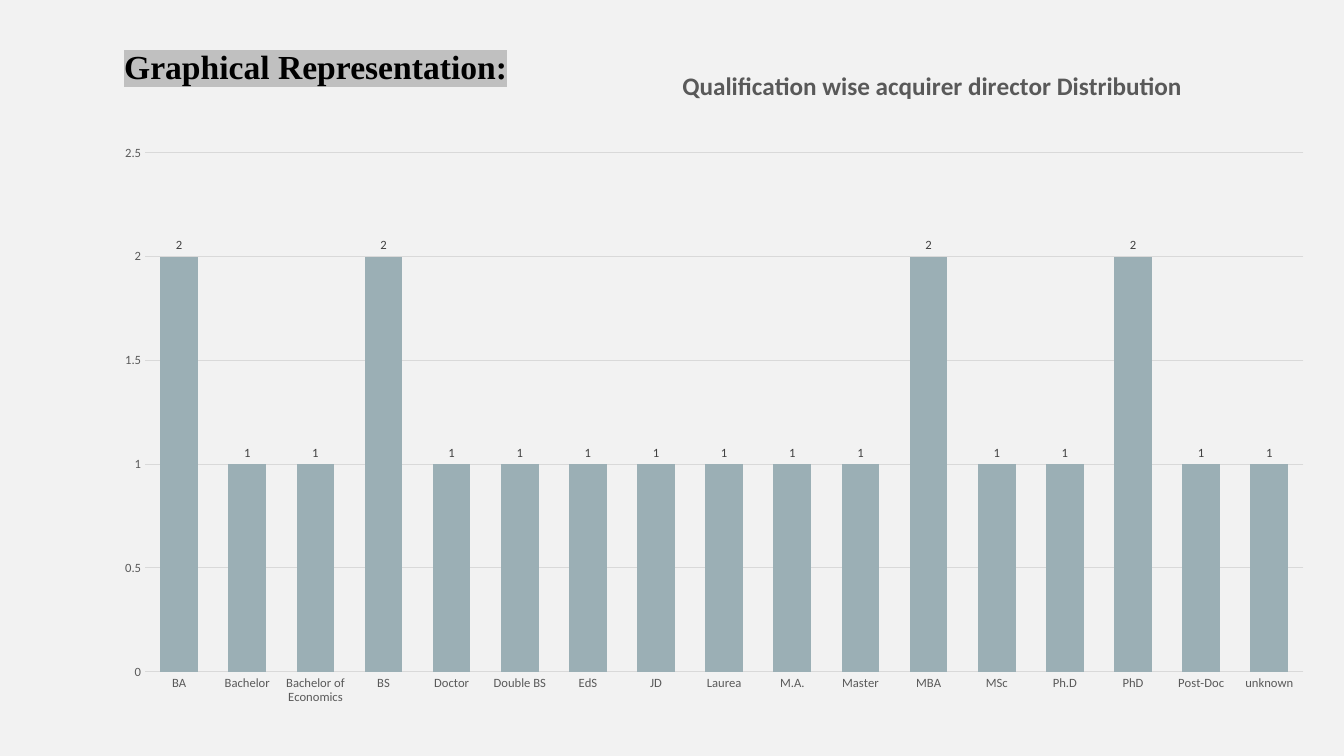
from lxml import etree
from pptx import Presentation
from pptx.chart.data import CategoryChartData
from pptx.dml.color import RGBColor
from pptx.enum.chart import XL_CHART_TYPE, XL_LABEL_POSITION, XL_TICK_MARK
from pptx.enum.text import MSO_ANCHOR, PP_ALIGN
from pptx.oxml.ns import qn
from pptx.util import Emu, Inches, Pt

COLUMNS = XL_CHART_TYPE.COLUMN_CLUSTERED
OUTSIDE_END = XL_LABEL_POSITION.OUTSIDE_END
NO_TICK = XL_TICK_MARK.NONE
TOP = MSO_ANCHOR.TOP
LEFT = PP_ALIGN.LEFT

BACKGROUND = RGBColor(0xF2, 0xF2, 0xF2)
BLACK = RGBColor(0x00, 0x00, 0x00)
HIGHLIGHT = RGBColor(0xC0, 0xC0, 0xC0)
BAR = RGBColor(0x9B, 0xAF, 0xB5)
GRID = RGBColor(0xD9, 0xD9, 0xD9)
AXIS_TEXT = RGBColor(0x59, 0x59, 0x59)
LABEL_TEXT = RGBColor(0x40, 0x40, 0x40)

HEADING_FONT = "Times New Roman"
CHART_FONT = "Calibri"
EMU_PER_PIXEL = 914400 / 100.8
TITLE_ONLY = 5

QUALIFICATIONS = {
    "BA": 2, "Bachelor": 1, "Bachelor of Economics": 1, "BS": 2, "Doctor": 1,
    "Double BS": 1, "EdS": 1, "JD": 1, "Laurea": 1, "M.A.": 1, "Master": 1,
    "MBA": 2, "MSc": 1, "Ph.D": 1, "PhD": 2, "Post-Doc": 1, "unknown": 1,
}


def px(pixels):
    """Turn whole pixels into EMU."""
    return Emu(round(pixels * EMU_PER_PIXEL))


def style_font(font, name, size, color, bold=False):
    """Set the face, size, colour and weight of a font."""
    font.name = name
    font.size = Pt(size)
    font.bold = bold
    font.color.rgb = color


def style_line(line, color):
    """Give a line its colour and a hairline width."""
    line.color.rgb = color
    line.width = Pt(0.75)


def highlight(run, color):
    """Put a highlight colour behind a run that has a solid fill."""
    marker = etree.Element(qn("a:highlight"))
    etree.SubElement(marker, qn("a:srgbClr"), val=str(color))
    run.font.fill
    run._r.rPr.find(qn("a:solidFill")).addnext(marker)


def place_in_chart(parent, position, **fractions):
    """Fix a chart part at fractions of the chart area."""
    layout = parent.find(qn("c:layout"))
    if layout is None:
        layout = etree.Element(qn("c:layout"))
        parent.insert(position, layout)
    manual = etree.SubElement(layout, qn("c:manualLayout"))
    if "w" in fractions:
        etree.SubElement(manual, qn("c:layoutTarget"), val="inner")
    for side in ("x", "y"):
        etree.SubElement(manual, qn(f"c:{side}Mode"), val="edge")
    for key, fraction in fractions.items():
        etree.SubElement(manual, qn(f"c:{key}"), val=str(fraction))


def add_heading(slide, text):
    """Fill the title placeholder and bring it in front of the chart."""
    heading = slide.shapes.title
    heading.left, heading.top, heading.width, heading.height = map(px, (114, 37, 1116, 92))
    frame = heading.text_frame
    frame.text = text
    frame.word_wrap = True
    frame.vertical_anchor = TOP
    frame.margin_top = px(9)
    paragraph = frame.paragraphs[0]
    paragraph.alignment = LEFT
    run = paragraph.runs[0]
    style_font(run.font, HEADING_FONT, 24, BLACK, bold=True)
    highlight(run, HIGHLIGHT)
    heading.element.getparent().append(heading.element)


def style_axes(chart):
    """Format both axes and the gridlines."""
    for axis in (chart.category_axis, chart.value_axis):
        axis.major_tick_mark = axis.minor_tick_mark = NO_TICK
        style_font(axis.tick_labels.font, CHART_FONT, 9, AXIS_TEXT)
    style_line(chart.category_axis.format.line, GRID)
    values = chart.value_axis
    values.minimum_scale, values.maximum_scale, values.major_unit = 0, 2.5, 0.5
    values.format.line.fill.background()
    style_line(values.major_gridlines.format.line, GRID)


def add_distribution_chart(slide, title):
    """Add the column chart of directors by qualification."""
    data = CategoryChartData()
    data.categories = list(QUALIFICATIONS)
    data.add_series("Series 1", list(QUALIFICATIONS.values()))
    chart = slide.shapes.add_chart(COLUMNS, *map(px, (101, 37, 1227, 682)), data).chart
    style_font(chart.font, CHART_FONT, 10, BLACK)
    chart.has_legend = False
    chart.has_title = True
    title_frame = chart.chart_title.text_frame
    title_frame.text = title
    style_font(title_frame.paragraphs[0].runs[0].font, CHART_FONT, 18, AXIS_TEXT, bold=True)
    place_in_chart(chart.chart_title.element, 1, x=0.47, y=0.04)
    place_in_chart(chart.element.find(".//" + qn("c:plotArea")), 0,
                   x=round(44 / 1227, 4), y=0.17, w=round(1158 / 1227, 4), h=0.761)
    style_axes(chart)
    plot = chart.plots[0]
    plot.gap_width = 81
    plot.vary_by_categories = False
    directors = plot.series[0]
    directors.format.fill.solid()
    directors.format.fill.fore_color.rgb = BAR
    labels = directors.data_labels
    labels.show_value = True
    labels.position = OUTSIDE_END
    style_font(labels.font, CHART_FONT, 9, LABEL_TEXT)


def main():
    """Build the slide and save it."""
    deck = Presentation()
    deck.slide_width, deck.slide_height = Inches(13.33), Inches(7.5)
    slide = deck.slides.add_slide(deck.slide_layouts[TITLE_ONLY])
    slide.background.fill.solid()
    slide.background.fill.fore_color.rgb = BACKGROUND
    add_distribution_chart(slide, "Qualification wise acquirer director Distribution")
    add_heading(slide, "Graphical Representation:")
    deck.save("out.pptx")


main()
